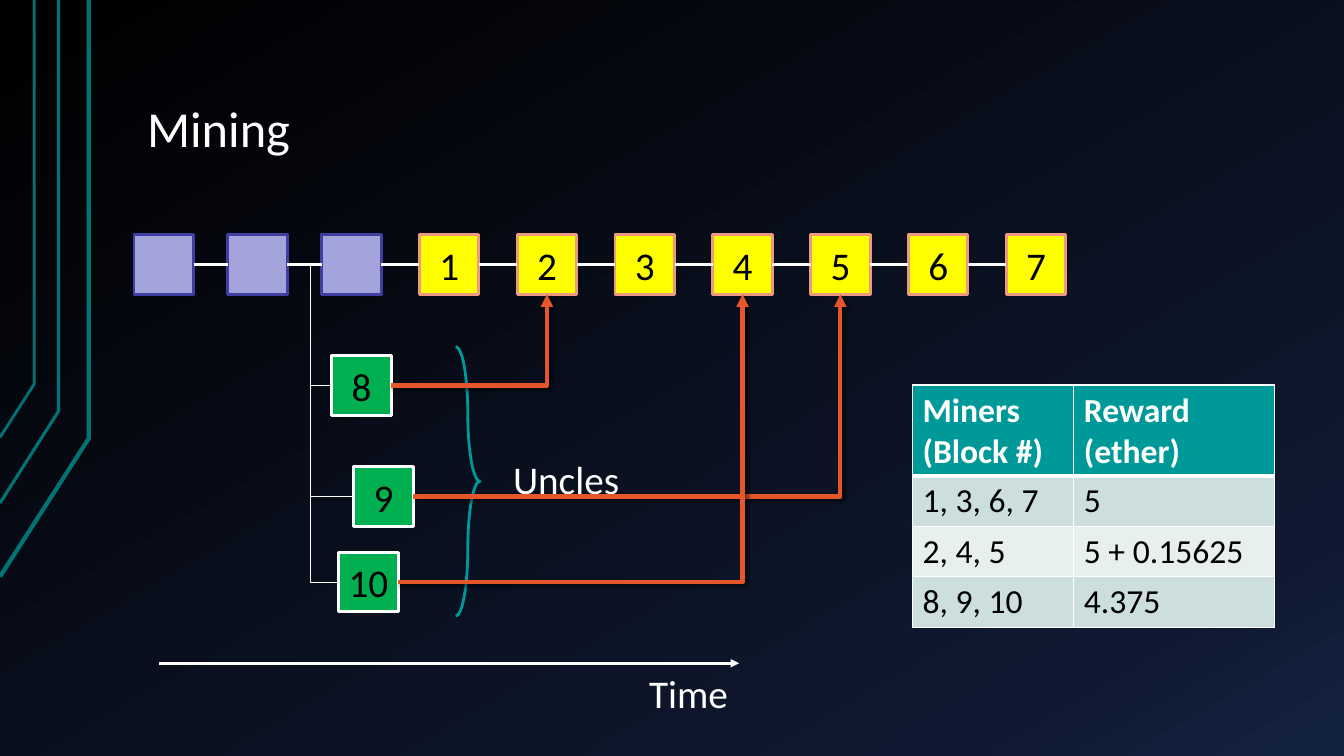
from dataclasses import dataclass

from lxml import etree
from pptx import Presentation
from pptx import util as u
from pptx.dml.color import RGBColor
from pptx.enum import shapes, text
from pptx.oxml import parse_xml
from pptx.oxml.ns import nsdecls, qn

TOP, LEFT, BOTTOM, RIGHT = range(4)
SQUARE = 5.9  # side of a block, in grid cells
CHAIN_ROW = 23.3


@dataclass(frozen=True)
class Theme:
    font: str = "Calibri"
    title_size: int = 36
    label_size: int = 28
    table_size: int = 24
    white: str = "FFFFFF"
    black: str = "000000"
    teal: str = "009999"
    dark_teal: str = "007373"
    orange: str = "E5572B"
    # (fill, outline) of each kind of block
    old_block: tuple = ("A4A4DC", "3F3FA2")
    new_block: tuple = ("FFFF00", "EF9A80")
    uncle_block: tuple = ("00B050", "FFFFFF")
    bands: tuple = ("CCDEDE", "E7EFEF")
    backdrop: tuple = ((0, "000000"), (85, "0F1931"), (100, "142242"))


def rgb(colour):
    return RGBColor.from_string(colour)


def cells(count):
    """Length of a number of grid cells; one cell is a tenth of an inch."""
    return u.Inches(count / 10)


class SlideBuilder:
    def __init__(self, slide, theme):
        self.slide, self.theme = slide, theme
        self.shapes = slide.shapes

    def background(self):
        fill = self.slide.background.fill
        fill.gradient()
        fill.gradient_angle = 300
        stops = self.slide.element.find(".//" + qn("a:gsLst"))
        for stop in list(stops):
            stops.remove(stop)
        for share, colour in self.theme.backdrop:
            stop = etree.SubElement(stops, qn("a:gs"), pos=str(share * 1000))
            etree.SubElement(stop, qn("a:srgbClr"), val=colour)

    def style_text(self, paragraph, size, colour, bold=False):
        font = paragraph.font
        font.name, font.size, font.bold = self.theme.font, u.Pt(size), bold
        font.color.rgb = rgb(colour)

    def outline(self, shape, colour, width):
        shape.line.color.rgb = rgb(colour)
        shape.line.width = u.Pt(width)

    def polyline(self, points, width):
        start, *others = [(cells(x), cells(y)) for x, y in points]
        builder = self.shapes.build_freeform(*start)
        builder.add_line_segments(others, close=False)
        shape = builder.convert_to_shape()
        shape.shadow.inherit = False
        shape.fill.background()
        self.outline(shape, self.theme.dark_teal, width)

    def label(self, words, column, row, width, height, size=None, wrap=False):
        box = self.shapes.add_textbox(*map(cells, (column, row, width, height)))
        box.text_frame.word_wrap = wrap
        paragraph = box.text_frame.paragraphs[0]
        paragraph.text = words
        self.style_text(paragraph, size or self.theme.label_size, self.theme.white)
        return box

    def title(self, words):
        box = self.label(words, 13.3, 3, 113.3, 13.4, self.theme.title_size, True)
        frame = box.text_frame
        frame.vertical_anchor = text.MSO_ANCHOR.BOTTOM
        frame.margin_left = frame.margin_right = cells(1.3)
        frame.margin_top = frame.margin_bottom = cells(0.7)
        frame.paragraphs[0].line_spacing = 0.9

    def block(self, column, row, colours, number=""):
        shape = self.shapes.add_shape(
            shapes.MSO_SHAPE.RECTANGLE, *map(cells, (column, row, SQUARE, SQUARE)))
        shape.shadow.inherit = False
        fill, line = colours
        shape.fill.solid()
        shape.fill.fore_color.rgb = rgb(fill)
        self.outline(shape, line, 2)
        frame = shape.text_frame
        frame.word_wrap = False
        frame.margin_left = frame.margin_right = 0
        frame.margin_top = frame.margin_bottom = 0
        frame.vertical_anchor = text.MSO_ANCHOR.MIDDLE
        paragraph = frame.paragraphs[0]
        paragraph.text = number
        paragraph.alignment = text.PP_ALIGN.CENTER
        self.style_text(paragraph, self.theme.label_size, self.theme.black)
        return shape

    def brace(self, column, row, width, height):
        shape = self.shapes.add_shape(
            shapes.MSO_SHAPE.RIGHT_BRACE, *map(cells, (column, row, width, height)))
        shape.shadow.inherit = False
        shape.adjustments[0] = 2.82
        shape.fill.background()
        self.outline(shape, self.theme.teal, 2)

    def connector(self, kind, colour, width, ends=(0, 0, 0, 0), arrow=False):
        line = self.shapes.add_connector(kind, *map(cells, ends))
        self.outline(line, colour, width)
        properties = line.element.spPr
        etree.SubElement(properties, qn("a:effectLst"))
        if arrow:
            etree.SubElement(properties.find(qn("a:ln")), qn("a:tailEnd"), type="triangle")
        return line

    def link(self, first, second):
        line = self.connector(shapes.MSO_CONNECTOR.STRAIGHT, self.theme.white, 2.5)
        line.begin_connect(first, RIGHT)
        line.end_connect(second, LEFT)

    def branch(self, parent, uncle):
        """Thin elbow whose upright stands at the same column for every uncle."""
        line = self.connector(shapes.MSO_CONNECTOR.ELBOW, self.theme.white, 0.75)
        line.begin_connect(parent, RIGHT)
        line.end_connect(uncle, LEFT)
        bend = round(cells(2.3) / line.width * 100000)
        guides = line.element.spPr.find(qn("a:prstGeom")).get_or_add_avLst()
        etree.SubElement(guides, qn("a:gd"), name="adj1", fmla=f"val {bend}")

    def reference(self, uncle, nephew):
        """Shadowed arrow with one bend, from an uncle up to the block naming it."""
        line = self.connector(shapes.MSO_CONNECTOR.ELBOW, self.theme.orange, 3, arrow=True)
        line.begin_connect(uncle, RIGHT)
        line.end_connect(nephew, BOTTOM)
        properties = line.element.spPr
        properties.find(qn("a:prstGeom")).set("prst", "bentConnector2")
        properties.find(qn("a:effectLst")).append(parse_xml(
            f'<a:outerShdw {nsdecls("a")} blurRad="{u.Pt(3)}" dist="{u.Pt(2)}" dir="2700000">'
            f'<a:srgbClr val="{self.theme.black}"><a:alpha val="60000"/></a:srgbClr>'
            '</a:outerShdw>'))

    def border(self, cell, side, width):
        line = etree.SubElement(cell._tc.get_or_add_tcPr(), qn(f"a:ln{side}"), w=str(u.Pt(width)))
        fill = etree.SubElement(line, qn("a:solidFill"))
        etree.SubElement(fill, qn("a:srgbClr"), val=self.theme.white)

    def table(self, rows, column, row, widths, heights):
        theme = self.theme
        table = self.shapes.add_table(
            len(rows), len(widths),
            *map(cells, (column, row, sum(widths), sum(heights)))).table
        for table_column, width in zip(table.columns, widths):
            table_column.width = cells(width)
        for i, (values, height) in enumerate(zip(rows, heights)):
            table.rows[i].height = cells(height)
            header = i == 0
            for j, value in enumerate(values):
                cell = table.cell(i, j)
                for side in "LRTB":
                    thick = (i, side) in ((0, "B"), (1, "T"))
                    self.border(cell, side, 3 if thick else 1)
                cell.fill.solid()
                cell.fill.fore_color.rgb = rgb(theme.teal if header else theme.bands[(i - 1) % 2])
                paragraph = cell.text_frame.paragraphs[0]
                paragraph.text = value
                self.style_text(paragraph, theme.table_size,
                                theme.white if header else theme.black, header)


def main():
    presentation = Presentation()
    presentation.slide_width, presentation.slide_height = u.Inches(13.33), u.Inches(7.5)
    theme = Theme()
    page = SlideBuilder(presentation.slides.add_slide(presentation.slide_layouts[6]), theme)

    # Backdrop, edge lines and title
    page.background()
    for column, bend, foot, width in ((8.8, 43.5, 57.2, 3), (5.8, 40.8, 49.9, 2.25),
                                      (3.4, 38.1, 43.4, 2)):
        page.polyline([(0, foot), (column, bend), (column, 0)], width)
    page.title("Mining")

    # Main chain
    chain = [page.block(13.3 + 9.3 * i, CHAIN_ROW, theme.old_block) for i in range(3)]
    mined = {n: page.block(31.9 + 9.7 * n, CHAIN_ROW, theme.new_block, str(n))
             for n in range(1, 8)}
    chain += mined.values()
    for first, second in zip(chain, chain[1:]):
        page.link(first, second)

    # Uncles and the blocks that name them
    page.brace(45.2, 34.4, 2.4, 26.7)
    page.label("Uncles", 49.9, 44.7, 14.9, 5.7, wrap=True)
    for number, column, row, nephew in ((8, 32.9, 35.3, 2), (9, 35.1, 46.3, 5),
                                        (10, 33.6, 54.8, 4)):
        uncle = page.block(column, row, theme.uncle_block, str(number))
        page.branch(chain[1], uncle)
        page.reference(uncle, mined[nephew])

    # Time axis
    page.connector(shapes.MSO_CONNECTOR.STRAIGHT, theme.white, 2,
                   (15.8, 65.8, 73.3, 65.8), arrow=True)
    page.label("Time", 63.4, 65.9, 9.9, 5.7)

    # Rewards
    page.table([("Miners (Block #)", "Reward (ether)"), ("1, 3, 6, 7", "5"),
                ("2, 4, 5", "5 + 0.15625"), ("8, 9, 10", "4.375")],
               90.5, 38.2, (16, 19.9), (9, 5, 5, 5))
    presentation.save("out.pptx")


if __name__ == "__main__":
    main()
